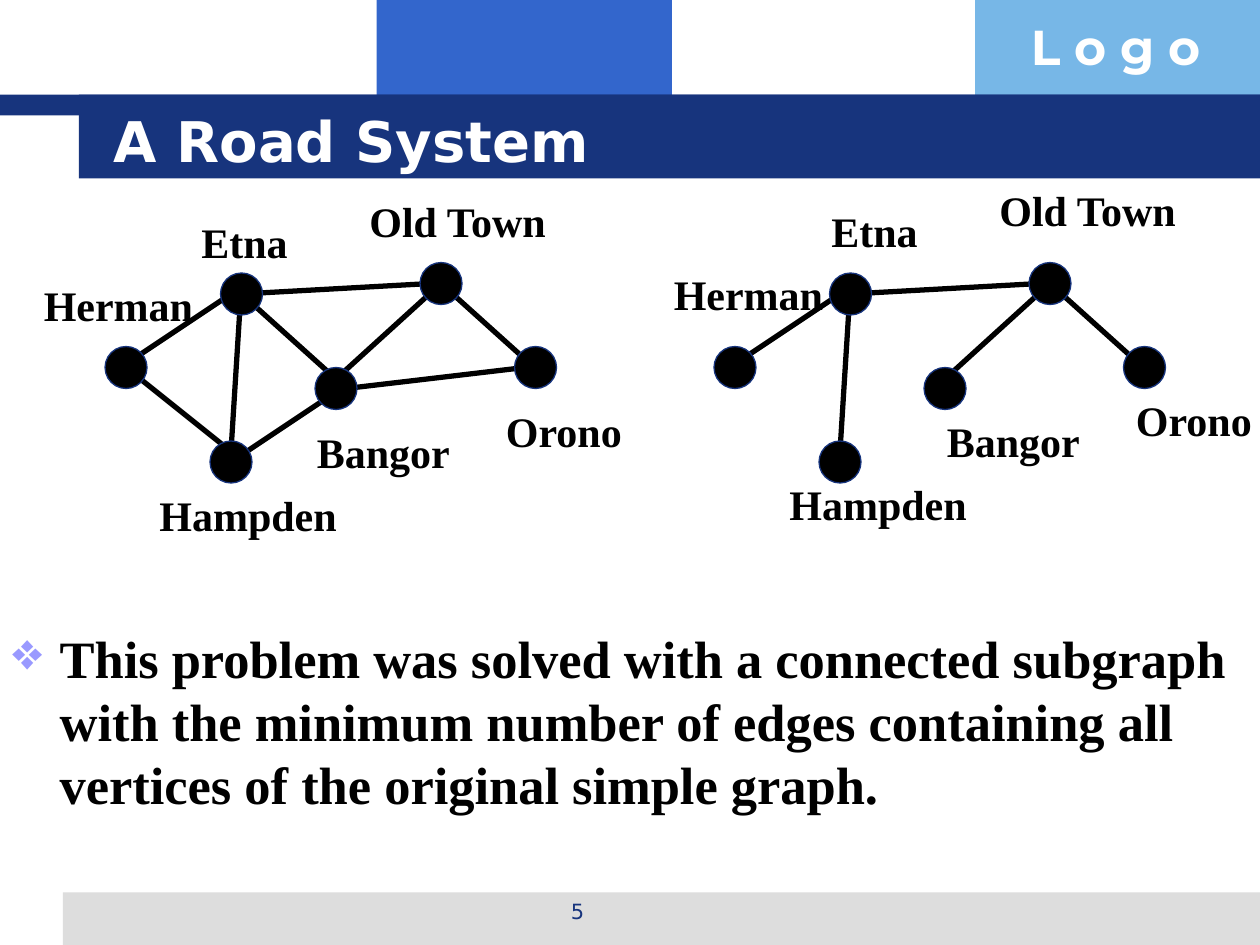
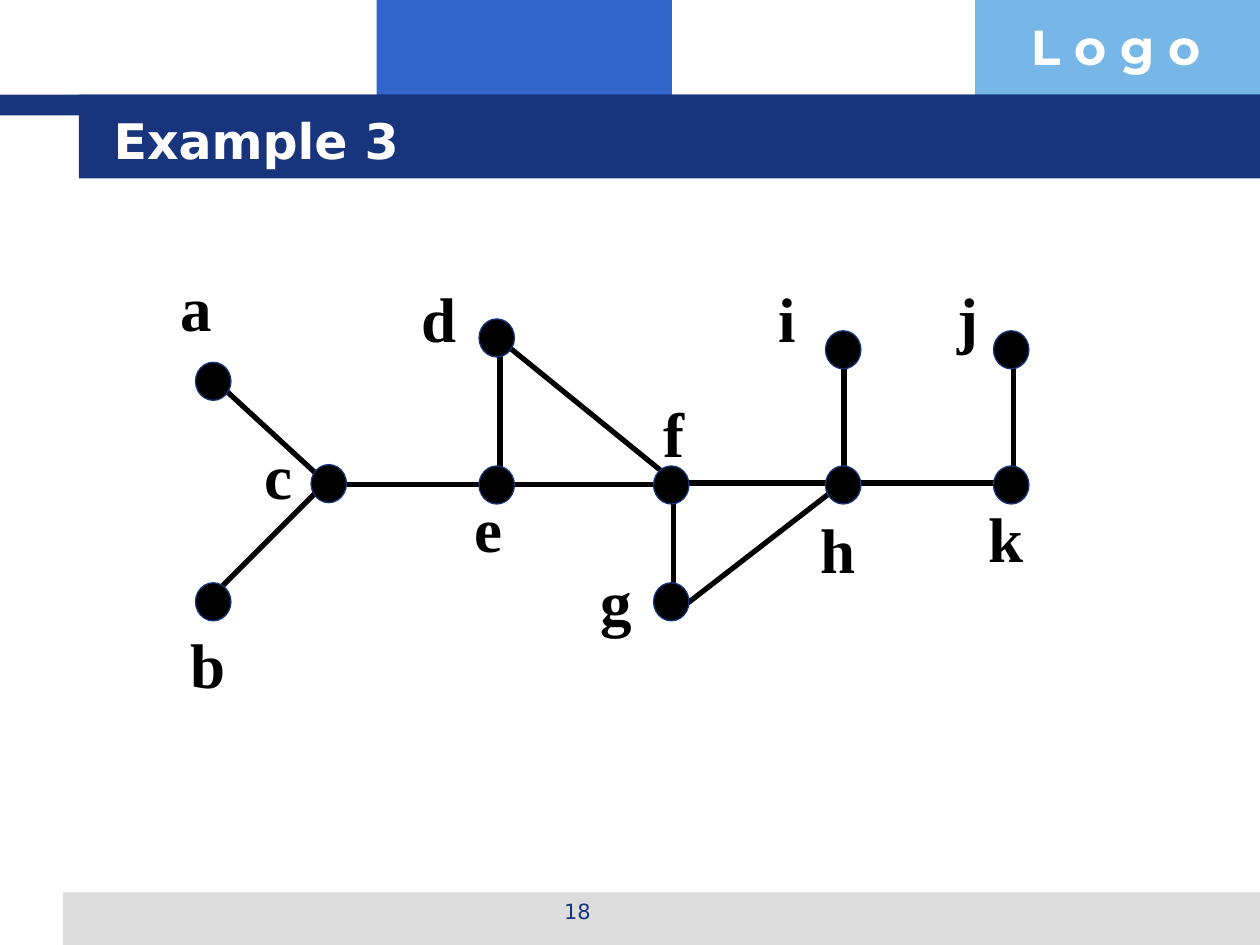
import pptx
import pptx.dml.color
import pptx.enum.shapes
import pptx.enum.text
import pptx.util
from lxml import etree
from pptx.oxml.ns import qn

PX = 9525  # EMU per px, 96 px to the inch
COLOURS = {"navy": "17347D", "blue": "3366CC", "sky": "77B7E7", "grey": "DDDDDD",
           "lilac": "9999FF", "black": "000000", "white": "FFFFFF"}
RGB = {name: pptx.dml.color.RGBColor.from_string(code) for name, code in COLOURS.items()}
SERIF, SANS = "Times New Roman", "DejaVu Sans"
SHAPES = pptx.enum.shapes.MSO_SHAPE
ALIGN = pptx.enum.text.PP_ALIGN


def write(box, text, size, font=SERIF, colour="black", bold=True, align=ALIGN.LEFT):
    """Fill a box with one formatted paragraph and return the paragraph."""
    frame = box.text_frame
    frame.word_wrap = True
    frame.auto_size = pptx.enum.text.MSO_AUTO_SIZE.NONE
    frame.text = text
    para = frame.paragraphs[0]
    para.alignment = align
    span = para.runs[0]
    span.font.name = font
    span.font.size = pptx.util.Pt(size)
    span.font.bold = bold
    span.font.color.rgb = RGB[colour]
    return para


def draw_graph(page, edges, nodes, node_size, labels, label_size):
    """Draw edges (x1, y1, x2, y2), nodes (x, y) and labels (text, x, y, w, h)."""
    for edge in edges:
        line = page.shapes.add_connector(pptx.enum.shapes.MSO_CONNECTOR.STRAIGHT,
                                         *[value * PX for value in edge])
        line.line.color.rgb = RGB["black"]
        line.line.width = pptx.util.Pt(3)
        etree.SubElement(line.element.spPr, qn("a:effectLst"))
    for corner in nodes:
        node = page.shapes.add_shape(SHAPES.OVAL, *[value * PX for value in corner + node_size])
        node.shadow.inherit = False
        node.fill.solid()
        node.fill.fore_color.rgb = RGB["black"]
        node.line.color.rgb = RGB["navy"]
        node.line.width = pptx.util.Pt(0.75)
    for text, *area in labels:
        write(page.shapes.add_textbox(*[value * PX for value in area]), text, label_size)


deck = pptx.Presentation()
deck.slide_width, deck.slide_height = 960 * PX, 720 * PX
layout = deck.slide_layouts[5]

pages = []
for title, title_size, number in [("A Road System", 32, "5"), ("Example 3", 28, "18")]:
    page = deck.slides.add_slide(layout)
    heading = page.shapes.title
    heading.left, heading.top, heading.width, heading.height = [
        value * PX for value in (77, 77, 819, 59)]
    write(heading, title, title_size, SANS, "white")
    heading.text_frame.vertical_anchor = pptx.enum.text.MSO_ANCHOR.MIDDLE
    footer = page.shapes.add_textbox(328 * PX, 680 * PX, 224 * PX, 34 * PX)
    write(footer, number, 12, SANS, "navy", False, ALIGN.CENTER)
    pages.append(page)
road_page, example_page = pages

# Shared bands and corner text: built on a page, then moved to the layout
shared = []
for colour, *area in [("blue", 287, 0, 225, 88), ("sky", 743, 0, 217, 88),
                      ("grey", 48, 680, 912, 40), ("navy", 0, 72, 960, 16),
                      ("navy", 60, 72, 900, 64)]:
    band = road_page.shapes.add_shape(SHAPES.RECTANGLE, *[value * PX for value in area])
    band.shadow.inherit = False
    band.fill.solid()
    band.fill.fore_color.rgb = RGB[colour]
    band.line.fill.background()
    shared.append(band)
corner_text = road_page.shapes.add_textbox(776 * PX, 8 * PX, 184 * PX, 55 * PX)
write(corner_text, "L o g o", 28, "Montserrat", "white")
shared.append(corner_text)
for shape in shared:
    layout.shapes.element.append(shape.element)

# Road system: all roads on the left, the kept roads on the right
towns = [(168, 208), (80, 264), (160, 336), (240, 280), (320, 200), (392, 264)]
town_labels = [("Etna", 144, 160, 96), ("Herman", 24, 208, 144), ("Hampden", 112, 368, 160),
               ("Bangor", 232, 320, 136), ("Old Town", 272, 144, 168), ("Orono", 376, 304, 120)]
kept_roads = [(176, 224, 104, 272), (416, 288, 336, 216), (184, 216, 176, 344),
              (328, 216, 184, 224), (336, 216, 248, 296)]
dropped_roads = [(176, 344, 96, 280), (248, 304, 176, 352), (400, 280, 264, 296),
                 (264, 296, 184, 224)]
for roads, shift, label_shift, label_rise in [(kept_roads + dropped_roads, 0, 0, 0),
                                              (kept_roads, 464, 480, 8)]:
    draw_graph(road_page,
               [(x1 + shift, y1, x2 + shift, y2) for x1, y1, x2, y2 in roads],
               [(x + shift, y) for x, y in towns], (32, 32),
               [(name, x + label_shift, y - label_rise, width, 48)
                for name, x, y, width in town_labels], 24)

summary = road_page.shapes.add_textbox(0, 472 * PX, 952 * PX, 208 * PX)
para = write(summary, "This problem was solved with a connected subgraph with the minimum "
             "number of edges containing all vertices of the original simple graph.", 30)
para.line_spacing = pptx.util.Pt(36)
properties = para._p.get_or_add_pPr()
properties.set("marL", str(36 * PX))
properties.set("indent", str(-36 * PX))
bullet_colour = etree.SubElement(properties, qn("a:buClr"))
etree.SubElement(bullet_colour, qn("a:srgbClr"), val=COLOURS["lilac"])
etree.SubElement(properties, qn("a:buChar"), char="❖")

# Example 3: lettered vertices
vertices = [(149, 276), (149, 444), (237, 354), (365, 243), (365, 355), (498, 355),
            (498, 444), (629, 355), (629, 252), (757, 252), (757, 355)]
vertex_edges = [(165, 291, 253, 372), (165, 451, 253, 363), (251, 369, 378, 369),
                (381, 259, 381, 372), (381, 369, 509, 369), (381, 259, 509, 363),
                (510, 368, 637, 368), (513, 355, 513, 468), (637, 372, 513, 468),
                (643, 259, 643, 372), (645, 368, 773, 368), (772, 259, 772, 372)]
letter_corners = [(128, 200), (136, 472), (192, 328), (312, 208), (352, 368), (496, 296),
                  (448, 424), (616, 384), (584, 208), (720, 208), (744, 376)]
draw_graph(example_page, vertex_edges, vertices, (27, 29),
           [(letter, x, y, 48, 64) for letter, (x, y) in zip("abcdefghijk", letter_corners)], 36)

deck.save("out.pptx")
